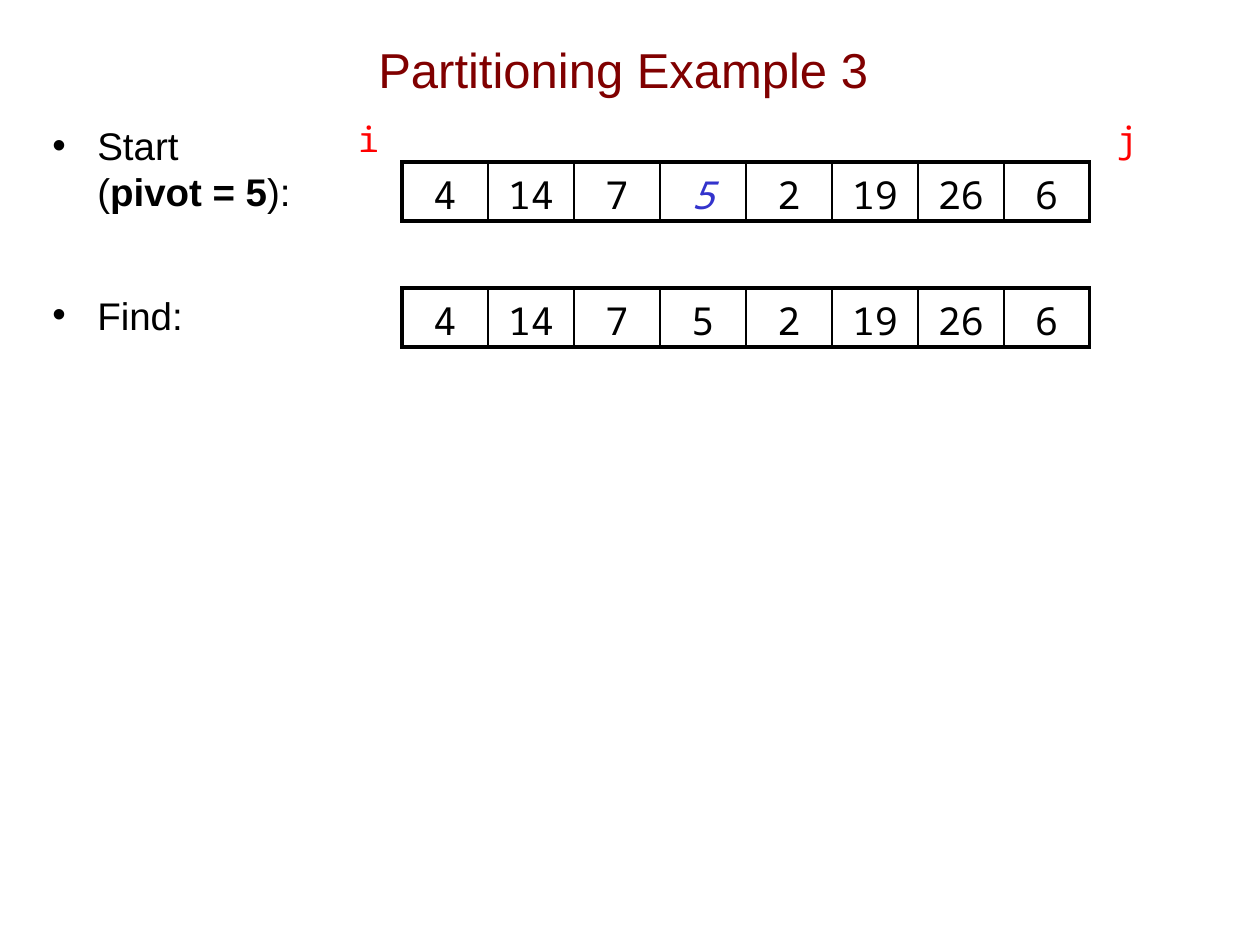
from dataclasses import dataclass

from lxml import etree
from pptx import Presentation
from pptx import util as u
from pptx.dml.color import RGBColor
from pptx.enum import text
from pptx.oxml import ns

PX = 914400 / 126  # EMU in one px


@dataclass(frozen=True)
class Theme:
    sans: str = "Arial"
    mono: str = "Noto Sans Mono"
    title: str = "800000"
    ink: str = "000000"
    pivot: str = "3333CC"
    index: str = "FF0000"
    title_pt: int = 28
    body_pt: int = 22
    index_pt: int = 20
    frame_pt: float = 2.25
    rule_pt: float = 1


def px(n):
    return u.Emu(round(n * PX))


class Deck:
    def __init__(self, theme):
        self.t = theme
        self.prs = Presentation()
        self.prs.slide_width, self.prs.slide_height = px(1260), px(945)
        self.s = self.prs.slides.add_slide(self.prs.slide_layouts[6])

    def font(self, r, face, size, color, bold=False, italic=False):
        f = r.font
        f.name, f.size, f.bold, f.italic = face, u.Pt(size), bold, italic
        f.color.rgb = RGBColor.from_string(color)

    def box(self, x, y, w, h, wrap=True):
        tf = self.s.shapes.add_textbox(px(x), px(y), px(w), px(h)).text_frame
        tf.word_wrap = wrap
        return tf

    def label(self, x, y, w, h, words, face, size, color, wrap=True):
        tf = self.box(x, y, w, h, wrap)
        tf.vertical_anchor = text.MSO_ANCHOR.MIDDLE
        tf.text = words
        p = tf.paragraphs[0]
        p.alignment = text.PP_ALIGN.CENTER
        self.font(p.runs[0], face, size, color)

    def bullets(self, x, y, w, h, items, indent):
        """Each item is (space before in pt, text, the bold run or None)."""
        tf = self.box(x, y, w, h)
        for i, (gap, words, strong) in enumerate(items):
            p = tf.add_paragraph() if i else tf.paragraphs[0]
            p.space_before = u.Pt(gap)
            before, bold, after = words.partition(strong) if strong else (words, "", "")
            p.text = before
            for part in filter(None, (bold, after)):
                p.add_run().text = part
            for r in p.runs:
                self.font(r, self.t.sans, self.t.body_pt, self.t.ink, r.text == strong)
            pPr = p._p.get_or_add_pPr()
            pPr.set("marL", str(px(indent)))
            pPr.set("indent", str(-px(indent)))
            etree.SubElement(pPr, ns.qn("a:buFont")).set("typeface", self.t.sans)
            etree.SubElement(pPr, ns.qn("a:buChar")).set("char", "•")

    def border(self, cell, side, width):
        ln = etree.SubElement(cell._tc.get_or_add_tcPr(), ns.qn(f"a:{side}"))
        ln.set("w", str(u.Pt(width)))
        fill = etree.SubElement(ln, ns.qn("a:solidFill"))
        etree.SubElement(fill, ns.qn("a:srgbClr")).set("val", self.t.ink)

    def array(self, x, y, col, h, values, pivot=None):
        n = len(values)
        table = self.s.shapes.add_table(1, n, px(x), px(y), px(col * n), px(h)).table
        table.first_row = table.horz_banding = False
        for i, value in enumerate(values):
            table.columns[i].width = px(col)
            cell = table.cell(0, i)
            cell.text = str(value)
            p = cell.text_frame.paragraphs[0]
            p.alignment = text.PP_ALIGN.CENTER
            marked = i == pivot
            self.font(p.runs[0], self.t.mono, self.t.body_pt,
                      self.t.pivot if marked else self.t.ink, italic=marked)
            # Heavy outer frame, thin inner rules; the fill follows the lines
            frame, rule = self.t.frame_pt, self.t.rule_pt
            self.border(cell, "lnL", rule if i else frame)
            self.border(cell, "lnR", rule if i < n - 1 else frame)
            self.border(cell, "lnT", frame)
            self.border(cell, "lnB", frame)
            cell.fill.background()


def main():
    t = Theme()
    d = Deck(t)

    # Title and steps
    d.label(95, 10, 1070, 117, "Partitioning Example 3 ", t.sans, t.title_pt, t.title)
    steps = [(14, "Start\v(pivot = 5):", "pivot = 5"), (44, "Find:", None)]
    d.bullets(40, 116, 1202, 774, steps, indent=45)

    # The array at each step
    values = [4, 14, 7, 5, 2, 19, 26, 6]
    for y, pivot in ((162, values.index(5)), (288, None)):
        d.array(402, y, 86, 59, values, pivot)

    # Scan indices at both ends
    for x, name in ((345, "i"), (1104, "j")):
        d.label(x, 111, 47, 54, name, t.mono, t.index_pt, t.index, wrap=False)

    d.prs.save("out.pptx")


if __name__ == "__main__":
    main()
